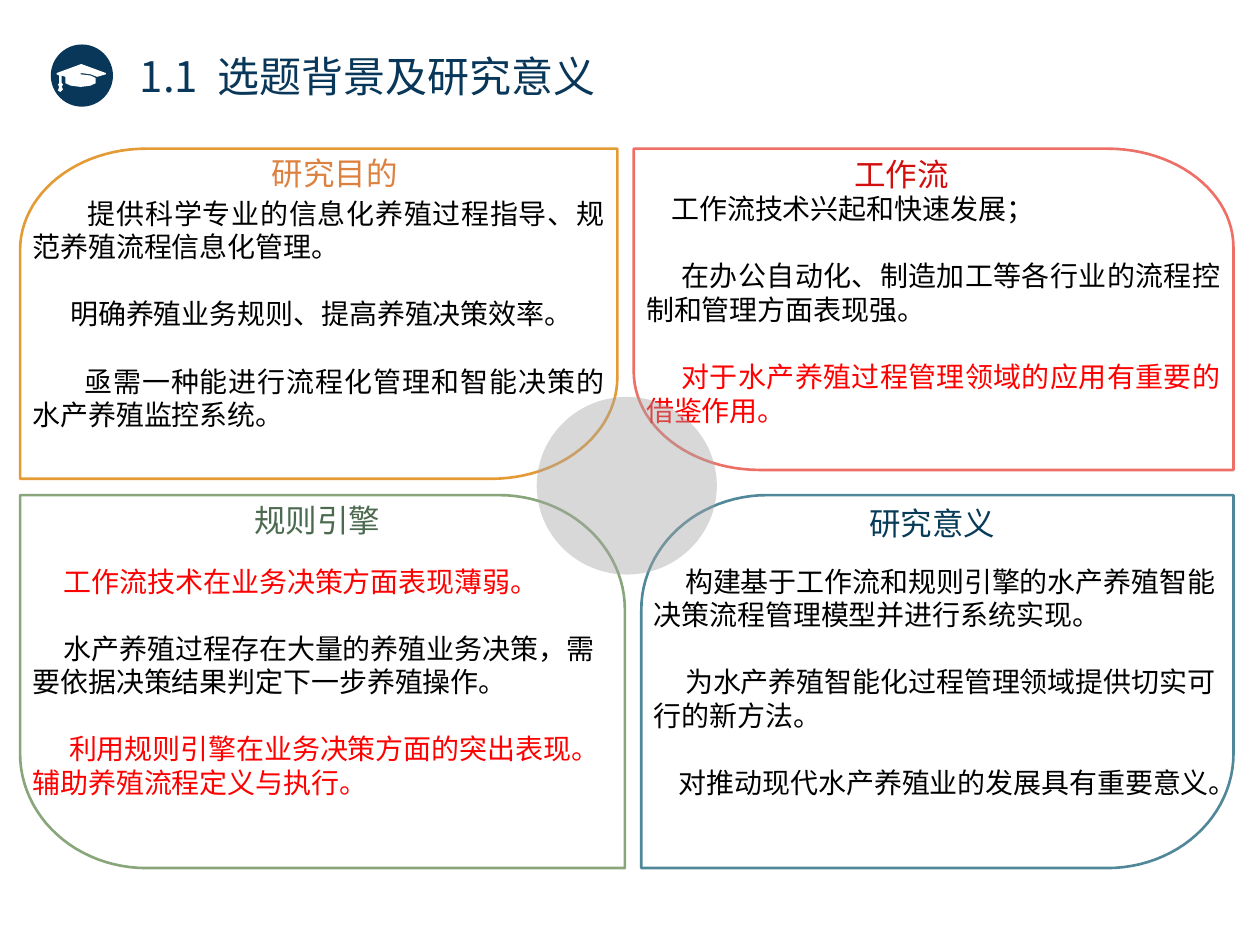
import math
import pptx
import pptx.util
import pptx.dml.color
import pptx.enum.shapes
import pptx.enum.text
import pptx.oxml.ns
from lxml import etree

Inches, Pt = pptx.util.Inches, pptx.util.Pt
RGB = pptx.dml.color.RGBColor
ALIGN = pptx.enum.text.PP_ALIGN
MIDDLE = pptx.enum.text.MSO_ANCHOR.MIDDLE
OVAL = pptx.enum.shapes.MSO_SHAPE.OVAL
qn = pptx.oxml.ns.qn

NAVY = RGB(0x09, 0x37, 0x59)
DEEP = RGB(0x08, 0x3B, 0x58)
WHITE = RGB(0xFF, 0xFF, 0xFF)
BLACK = RGB(0, 0, 0)
RED = RGB(0xFF, 0, 0)
CRIMSON = RGB(0xD2, 0x0F, 0x0C)
AMBER = RGB(0xE4, 0x9B, 0x35)
ORANGE = RGB(0xDD, 0x81, 0x40)
SAGE = RGB(0x89, 0xA6, 0x7A)
GREEN = RGB(0x4C, 0x6A, 0x4F)
CORAL = RGB(0xED, 0x6F, 0x65)
TEAL = RGB(0x50, 0x87, 0x99)
GREY = RGB(0xA6, 0xA6, 0xA6)
ARIAL, NOTO = "Arial", "Noto Sans CJK SC"


def add_run(para, text, size, color, font=ARIAL):
    run = para.add_run()
    run.text = text
    run.font.size = Pt(size)
    run.font.name = font
    run.font.color.rgb = color
    props = run.font._element
    etree.SubElement(props, qn("a:ea")).set("typeface", NOTO)
    return props


def add_outline(points):
    points = [(Inches(x), Inches(y)) for x, y in points]
    form = slide.shapes.build_freeform(*points[0])
    form.add_line_segments(points[1:], close=True)
    shape = form.convert_to_shape()
    shape.shadow.inherit = False
    return shape


deck = pptx.Presentation()
deck.slide_width, deck.slide_height = Inches(10), Inches(7.5)
slide = deck.slides.add_slide(deck.slide_layouts[5])

# Title and its badge
title = slide.shapes.title
title.left, title.top = Inches(1.01), Inches(0.35)
title.width, title.height = Inches(3.96), Inches(0.5)
frame = title.text_frame
frame.word_wrap = False
frame.vertical_anchor = MIDDLE
para = frame.paragraphs[0]
para.alignment = ALIGN.LEFT
add_run(para, "1.1", 24, NAVY, NOTO)
add_run(para, " ", 24, NAVY, NOTO).set("spc", "540")
add_run(para, "选题背景及研究意义", 24, NAVY, NOTO)

badge = slide.shapes.add_shape(OVAL, Inches(0.41), Inches(0.36), Inches(0.48), Inches(0.48))
badge.shadow.inherit = False
badge.fill.solid()
badge.fill.fore_color.rgb = NAVY
badge.line.color.rgb = NAVY
badge.line.width = Pt(1)

cap = add_outline([
    (0.45, 0.58), (0.64, 0.51), (0.65, 0.51), (0.84, 0.58), (0.84, 0.59),
    (0.77, 0.61), (0.72, 0.59), (0.64, 0.58), (0.64, 0.59), (0.72, 0.6),
    (0.76, 0.62), (0.76, 0.66), (0.72, 0.68), (0.64, 0.69), (0.56, 0.68),
    (0.52, 0.66), (0.52, 0.61), (0.49, 0.6), (0.49, 0.66), (0.5, 0.67),
    (0.49, 0.69), (0.5, 0.71), (0.48, 0.73), (0.46, 0.72), (0.47, 0.69),
    (0.46, 0.67), (0.47, 0.66), (0.47, 0.6), (0.45, 0.59)])
cap.fill.solid()
cap.fill.fore_color.rgb = WHITE
cap.line.fill.background()

# Panels: box, line colour, first rounded corner (clockwise from top left),
# alignment, paragraphs as (indent, colour, font, text)
panels = [
    ((0.16, 1.18, 4.74, 2.62), AMBER, 0, ALIGN.JUSTIFY, [
        (0.44, BLACK, ARIAL, "提供科学专业的信息化养殖过程指导、规范养殖流程信息化管理。"),
        (0.3, BLACK, ARIAL, "明确养殖业务规则、提高养殖决策效率。"),
        (0.41, BLACK, ARIAL, "亟需一种能进行流程化管理和智能决策的水产养殖监控系统。")]),
    ((0.16, 3.93, 4.8, 2.96), SAGE, 1, ALIGN.LEFT, [
        (0.25, RED, NOTO, "工作流技术在业务决策方面表现薄弱。"),
        (0.25, BLACK, NOTO, "水产养殖过程存在大量的养殖业务决策，需要依据决策结果判定下一步养殖操作。"),
        (0.29, RED, ARIAL, "利用规则引擎在业务决策方面的突出表现。辅助养殖流程定义与执行。")]),
    ((5.03, 1.18, 4.76, 2.55), CORAL, 1, ALIGN.JUSTIFY, [
        (0.2, BLACK, ARIAL, "工作流技术兴起和快速发展；"),
        (0.28, BLACK, ARIAL, "在办公自动化、制造加工等各行业的流程控制和管理方面表现强。"),
        (0.28, RED, ARIAL, "对于水产养殖过程管理领域的应用有重要的借鉴作用。")]),
    ((5.09, 3.93, 4.7, 2.96), TEAL, 0, ALIGN.LEFT, [
        (0.25, BLACK, ARIAL, "构建基于工作流和规则引擎的水产养殖智能决策流程管理模型并进行系统实现。"),
        (0.25, BLACK, ARIAL, "为水产养殖智能化过程管理领域提供切实可行的新方法。"),
        (0.2, BLACK, ARIAL, "对推动现代水产养殖业的发展具有重要意义。")]),
]
for (left, top, width, height), color, first, align, texts in panels:
    wide, tall = 1, height * 0.307
    points = []
    for turn, (right, low) in enumerate([(0, 0), (1, 0), (1, 1), (0, 1)]):
        x, y = left + right * width, top + low * height
        if turn % 2 != first:
            points.append((x, y))
            continue
        x += wide * (1 - 2 * right)
        y += tall * (1 - 2 * low)
        for step in range(25):
            angle = math.radians(180 + 90 * turn + 90 * step / 24)
            points.append((x + wide * math.cos(angle), y + tall * math.sin(angle)))
    panel = add_outline(points)
    panel.fill.background()
    panel.line.color.rgb = color
    panel.line.width = Pt(1.5)
    frame = panel.text_frame
    frame.word_wrap = True
    frame.vertical_anchor = MIDDLE
    for place, (indent, ink, font, text) in enumerate(texts):
        para = frame.add_paragraph() if place else frame.paragraphs[0]
        para.alignment = align
        para.line_spacing = Pt(19.2)
        para.space_before = Pt(19.2 if place else 0)
        para._p.get_or_add_pPr().set("indent", str(Inches(indent)))
        add_run(para, text, 16, ink, font)

# Translucent hub where the panels meet
hub = slide.shapes.add_shape(OVAL, Inches(4.26), Inches(3.15), Inches(1.43), Inches(1.41))
hub.shadow.inherit = False
hub.fill.solid()
hub.fill.fore_color.rgb = GREY
hub.line.fill.background()
tint = hub._element.spPr.find(qn("a:solidFill"))[0]
etree.SubElement(tint, qn("a:alpha")).set("val", "43000")

heads = [
    (6.68, 1.18, 1.11, "工作流", CRIMSON),
    (1.92, 3.93, 1.22, "规则引擎", GREEN),
    (6.8, 3.95, 1.22, "研究意义", DEEP),
    (2.06, 1.17, 1.22, "研究目的", ORANGE),
]
for left, top, width, text, color in heads:
    head = slide.shapes.add_textbox(Inches(left), Inches(top), Inches(width), Inches(0.4))
    frame = head.text_frame
    frame.word_wrap = True
    frame.vertical_anchor = MIDDLE
    add_run(frame.paragraphs[0], text, 18, color)

deck.save("out.pptx")
